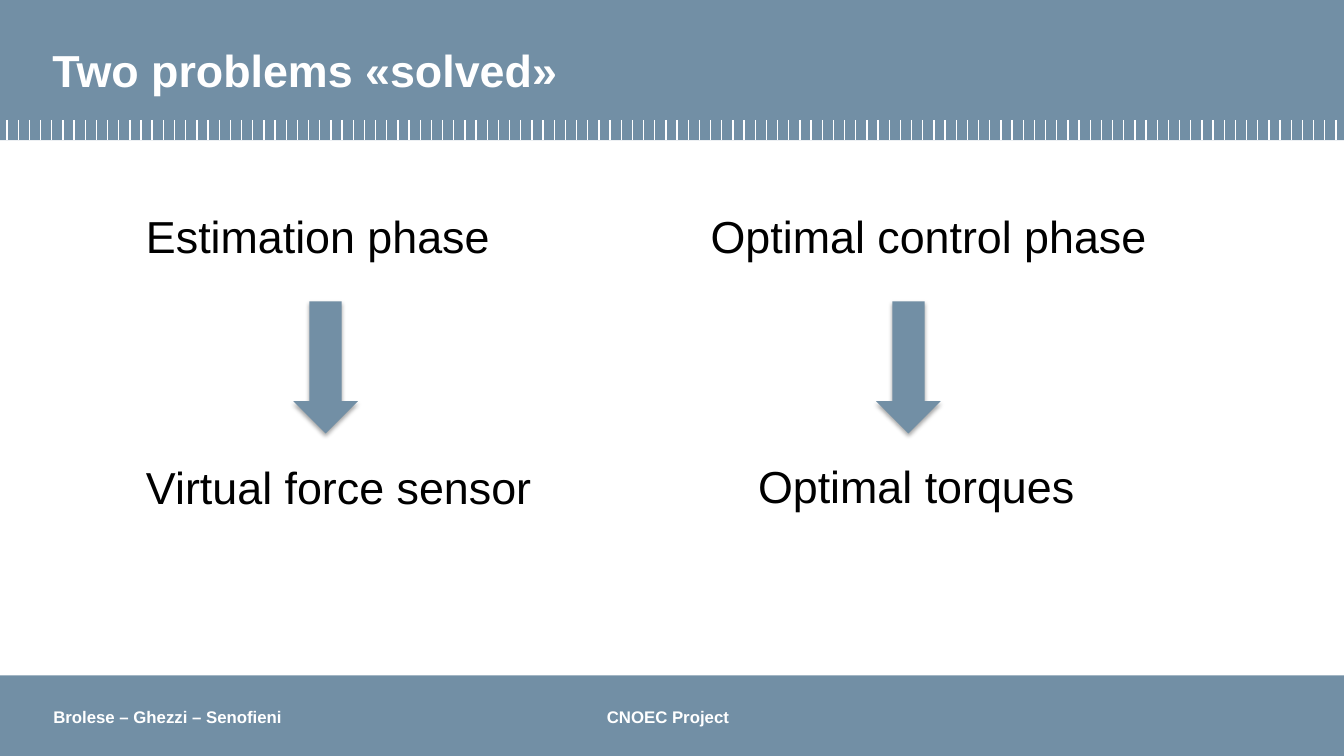
from lxml import etree
from pptx import Presentation
from pptx.dml.color import RGBColor
from pptx.enum.shapes import MSO_CONNECTOR, MSO_SHAPE
from pptx.enum.text import MSO_ANCHOR, MSO_AUTO_SIZE, PP_ALIGN
from pptx.oxml import parse_xml
from pptx.oxml.ns import nsdecls, qn
from pptx.util import Pt

PX = 9144  # 100 px to the inch
WIDE, HIGH = 1333, 750
FONT = "Arial"
BLUE = RGBColor(0x72, 0x8F, 0xA5)
WHITE = RGBColor(0xFF, 0xFF, 0xFF)
BLACK = RGBColor(0, 0, 0)
RECT, ARROW = MSO_SHAPE.RECTANGLE, MSO_SHAPE.DOWN_ARROW
LINE = MSO_CONNECTOR.STRAIGHT
MIDDLE, LEFT, FIXED = MSO_ANCHOR.MIDDLE, PP_ALIGN.LEFT, MSO_AUTO_SIZE.NONE
TICKS = 120
SHADE = (
    f'<a:effectLst {nsdecls("a")}>'
    '<a:outerShdw blurRad="40000" dist="23000" dir="5400000" rotWithShape="0">'
    '<a:srgbClr val="000000"><a:alpha val="35000"/></a:srgbClr>'
    '</a:outerShdw></a:effectLst>'
)


def emu(*sizes):
    return [round(size * PX) for size in sizes]


def style(par, size, color, bold=False):
    for run in par.runs:
        font = run.font
        font.name, font.size, font.bold = FONT, Pt(size), bold
        font.color.rgb = color


def solid(slide, kind, box):
    shape = slide.shapes.add_shape(kind, *emu(*box))
    shape.shadow.inherit = False
    shape.fill.solid()
    shape.fill.fore_color.rgb = BLUE
    shape.line.fill.background()
    return shape


def label(slide, text, box, size, color, bold=False):
    frame = slide.shapes.add_textbox(*emu(*box)).text_frame
    frame.word_wrap = True
    par = frame.paragraphs[0]
    par.text = text
    style(par, size, color, bold)
    return par


# Top band with its row of ticks and the title
def header(slide, text, box):
    x, y, w, h = box
    solid(slide, RECT, box)
    first, last = x + 7, x + w - 8
    gap = (last - first) / (TICKS - 1)
    for i in range(TICKS):
        at = first + i * gap
        tick = slide.shapes.add_connector(LINE, *emu(at, y + h - 20, at, y + h))
        tick.line.color.rgb = WHITE
        tick.line.width = Pt(1)
        etree.SubElement(tick._element.spPr, qn("a:effectLst"))

    title = slide.shapes.title
    title.left, title.top, title.width, title.height = emu(
        x + 42, y + 23, w - 82, h - 47)
    slide.shapes._spTree.append(title._element)  # in front of the band
    frame = title.text_frame
    frame.text = text
    frame.auto_size = FIXED
    frame.vertical_anchor = MIDDLE
    par = frame.paragraphs[0]
    par.alignment = LEFT
    style(par, 32, WHITE, True)


# Bottom band with authors and project
def footer(slide, names, topic, box):
    x, y, w, h = box
    solid(slide, RECT, box)
    par = label(slide, f"{names}\t{topic}", (x + 43, y + 26, 698, 30),
                12, WHITE, True)
    tabs = etree.SubElement(par._p.get_or_add_pPr(), qn("a:tabLst"))
    etree.SubElement(tabs, qn("a:tab"), pos=str(549 * PX), algn="l")


# One phase, an arrow down, and its result
def phase(slide, name, result, box, shift, mid):
    x, y, w, h = box
    label(slide, name, (x, y, w, 64), 32, BLACK)
    label(slide, result, (x + shift, y + h - 64, w, 64), 32, BLACK)
    arrow = solid(slide, ARROW, (x + mid - 32, y + 97, 64, 131))
    props = arrow._element.spPr
    props.replace(props.find(qn("a:effectLst")), parse_xml(SHADE))


def main():
    deck = Presentation()
    deck.slide_width, deck.slide_height = emu(WIDE, HIGH)
    slide = deck.slides.add_slide(deck.slide_layouts[5])
    header(slide, "Two problems «solved»", (0, 0, WIDE, 139))
    footer(slide, "Brolese – Ghezzi – Senofieni", "CNOEC Project",
           (0, 670, WIDE, 80))
    phase(slide, "Estimation phase", "Virtual force sensor",
          (135, 202, 560, 313), 0, 188)
    phase(slide, "Optimal control phase", "Optimal torques",
          (695, 202, 560, 312), 47, 206)
    deck.save("out.pptx")


if __name__ == "__main__":
    main()
